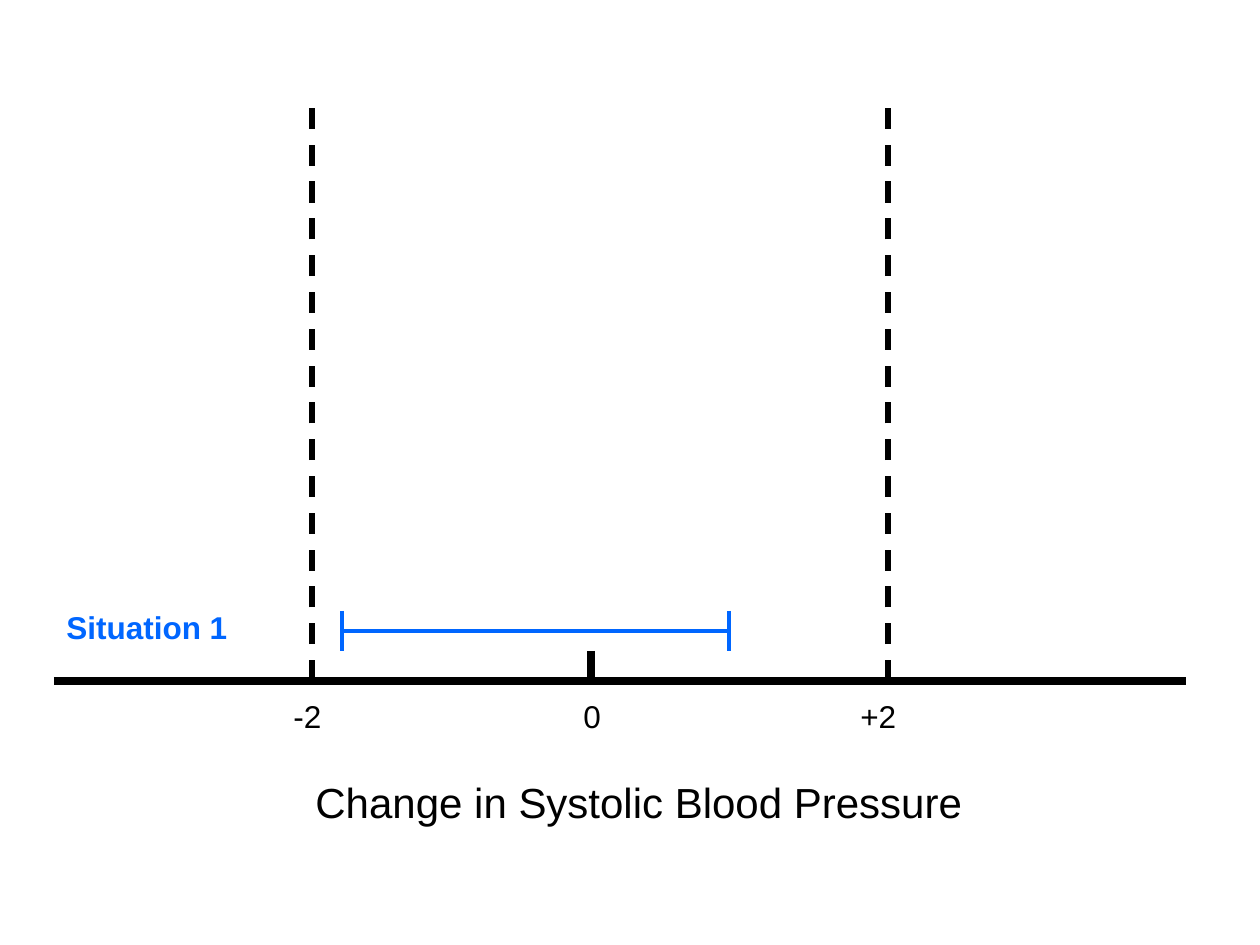
from lxml import etree
from pptx import Presentation
from pptx.dml.color import RGBColor
from pptx.enum.dml import MSO_LINE_DASH_STYLE
from pptx.enum.shapes import MSO_CONNECTOR
from pptx.enum.text import MSO_AUTO_SIZE
from pptx.oxml.ns import qn
from pptx.util import Pt

STRAIGHT = MSO_CONNECTOR.STRAIGHT
DASH = MSO_LINE_DASH_STYLE.DASH
FIT_SHAPE = MSO_AUTO_SIZE.SHAPE_TO_FIT_TEXT

SCALE = 914400 / 126
COLORS = {"axis": "000000", "interval": "0066FF"}
FONT = "Arial"

AXIS_LEFT, AXIS_RIGHT, AXIS_Y = 54, 1186, 681
ZERO_X, ZERO_TOP = 591, 651
LIMITS_X, LIMIT_TOP = (312, 888), 106
INTERVAL_X, INTERVAL_Y, CAP_HALF = (342, 729), 631, 20

TICK_TOP, TICK_HEIGHT = 691, 50
TICK_LABELS = [("0", 571, 43), ("+2", 848, 64), ("-2", 281, 55)]
CAPTION = ("Change in Systolic Blood Pressure", 303, 770, 674, 63)
SITUATION = ("Situation 1", 54, 602, 218, 88)


def px(value):
    return round(value * SCALE)


def add_line(shapes, start, end, color, width, dash=None):
    line = shapes.add_connector(STRAIGHT, *map(px, start + end))
    line.line.color.rgb = RGBColor.from_string(COLORS[color])
    line.line.width = Pt(width)
    if dash:
        line.line.dash_style = dash
    etree.SubElement(line._element.spPr, qn("a:effectLst"))


def add_label(shapes, text, left, top, width, height, size=18,
              color="axis", bold=False, wrap=False):
    label = shapes.add_textbox(*map(px, (left, top, width, height)))
    frame = label.text_frame
    frame.word_wrap = wrap
    frame.auto_size = FIT_SHAPE
    paragraph = frame.paragraphs[0]
    paragraph.text = text
    paragraph.font.name = FONT
    paragraph.font.size = Pt(size)
    paragraph.font.bold = bold
    paragraph.font.color.rgb = RGBColor.from_string(COLORS[color])


def main():
    presentation = Presentation()
    presentation.slide_width = px(1260)
    presentation.slide_height = px(945)
    slide = presentation.slides.add_slide(presentation.slide_layouts[6])
    shapes = slide.shapes

    add_line(shapes, (AXIS_LEFT, AXIS_Y), (AXIS_RIGHT, AXIS_Y), "axis", 4.5)
    add_line(shapes, (ZERO_X, ZERO_TOP), (ZERO_X, AXIS_Y), "axis", 4.5)
    for x in LIMITS_X:
        add_line(shapes, (x, AXIS_Y), (x, LIMIT_TOP), "axis", 3, DASH)

    add_label(shapes, *CAPTION, size=24)
    for text, left, width in TICK_LABELS:
        add_label(shapes, text, left, TICK_TOP, width, TICK_HEIGHT)

    interval = shapes.add_group_shape().shapes
    low, high = INTERVAL_X
    add_line(interval, (low, INTERVAL_Y), (high, INTERVAL_Y), "interval", 2.25)
    for x in (high, low):
        add_line(interval, (x, INTERVAL_Y - CAP_HALF),
                 (x, INTERVAL_Y + CAP_HALF), "interval", 2.25)
    add_label(shapes, *SITUATION, color="interval", bold=True, wrap=True)

    presentation.save("out.pptx")


if __name__ == "__main__":
    main()
